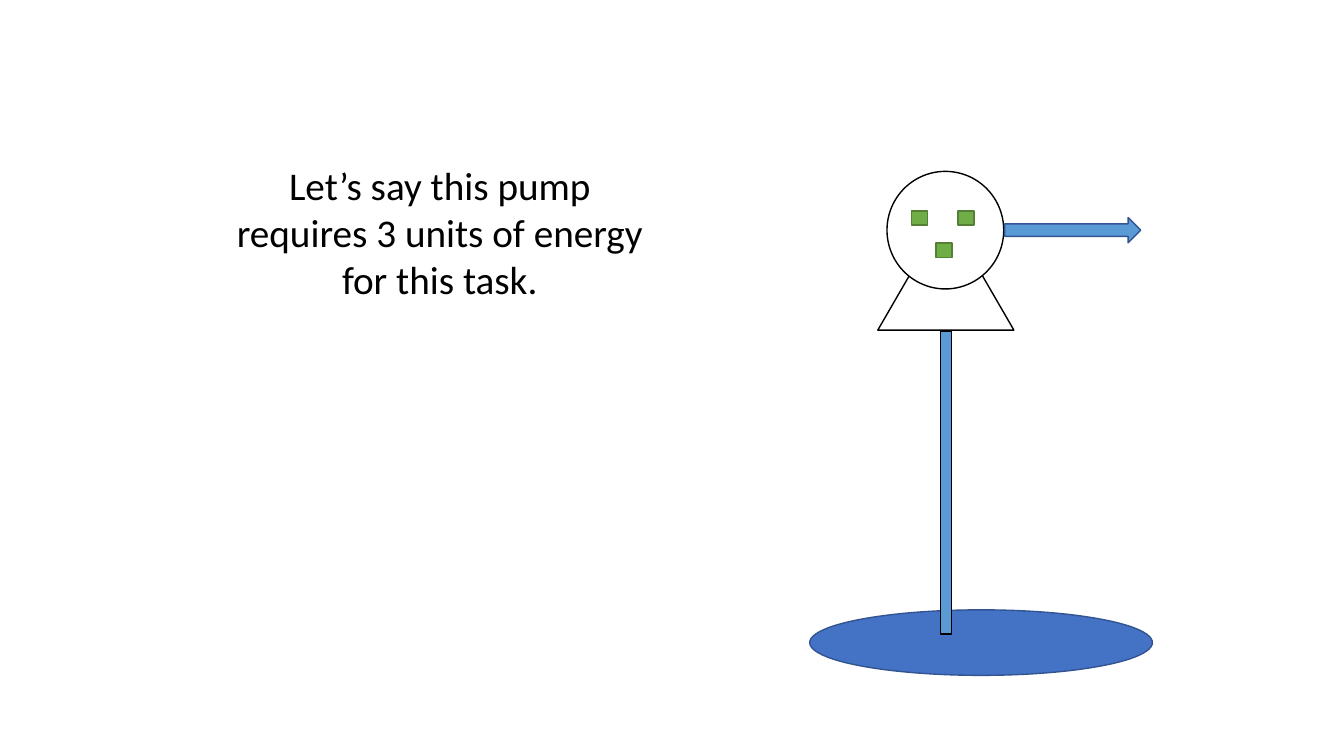
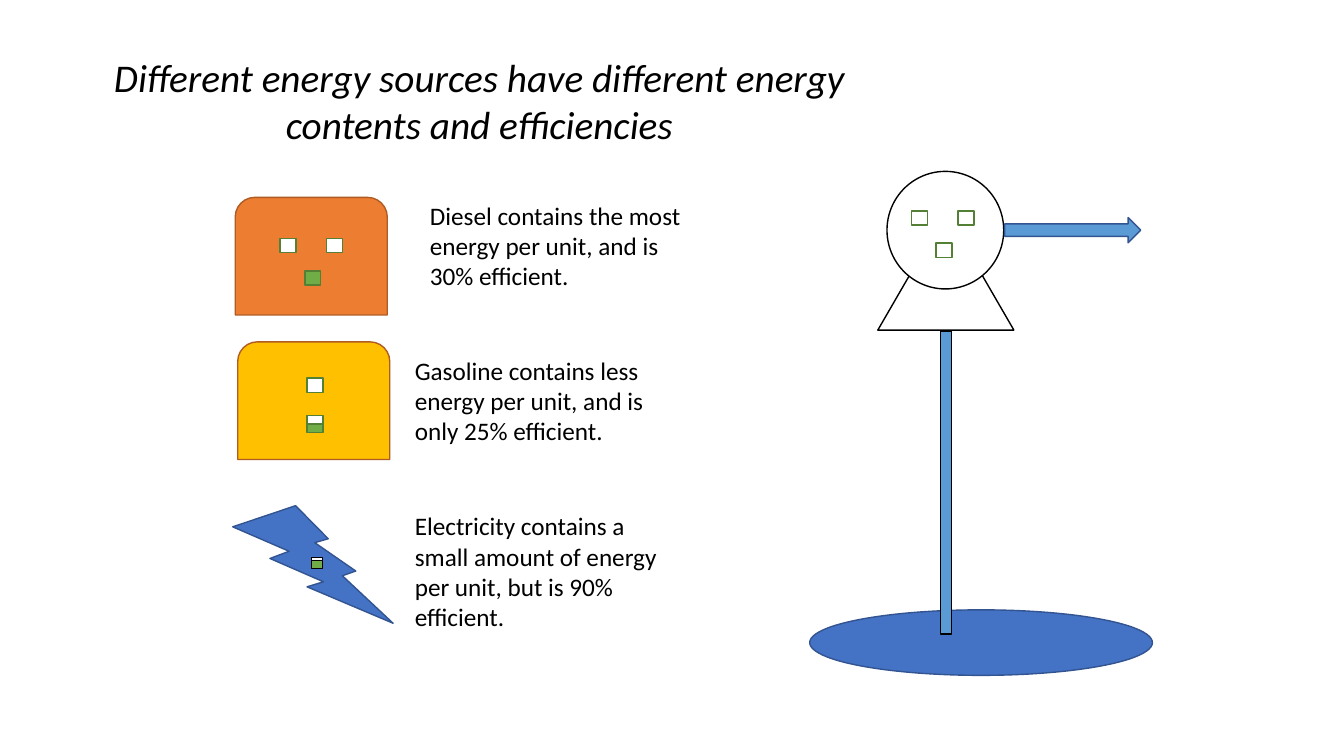
"""Build two slides on the energy a pump needs and the sources that supply it."""
from dataclasses import dataclass

from pptx import Presentation
from pptx.dml.color import RGBColor
from pptx.enum.shapes import MSO_SHAPE
from pptx.enum.text import MSO_AUTO_SIZE, PP_ALIGN
from pptx.util import Inches, Pt


@dataclass(frozen=True)
class Theme:
    font: str = "Calibri"
    title: int = 28
    label: int = 18
    line: int = 1
    black: str = "000000"
    white: str = "FFFFFF"
    water: str = "5B9BD5"
    blue: str = "4472C4"
    blue_edge: str = "325491"
    green: str = "70AD47"
    green_edge: str = "538035"
    orange: str = "ED7D31"
    yellow: str = "FFC000"
    fuel_edge: str = "AF5C24"


T = Theme()
COLS, ROWS = 160, 90

prs = Presentation()
prs.slide_width, prs.slide_height = Inches(13.333), Inches(7.5)
COL, ROW = prs.slide_width / COLS, prs.slide_height / ROWS


def add_shape(shapes, kind, x, y, w, h, fill, edge):
    sp = shapes.add_shape(kind, round(x * COL), round(y * ROW), round(w * COL), round(h * ROW))
    sp.shadow.inherit = False
    sp.fill.solid()
    sp.fill.fore_color.rgb = RGBColor.from_string(fill)
    sp.line.color.rgb = RGBColor.from_string(edge)
    sp.line.width = Pt(T.line)


def add_text(s, text, x, y, w, h, size=T.label, italic=None, align=PP_ALIGN.LEFT):
    tf = s.shapes.add_textbox(round(x * COL), round(y * ROW), round(w * COL), round(h * ROW)).text_frame
    tf.word_wrap = True
    tf.auto_size = MSO_AUTO_SIZE.SHAPE_TO_FIT_TEXT
    p = tf.paragraphs[0]
    p.alignment = align
    r = p.add_run()
    r.text = text
    r.font.name, r.font.size, r.font.italic = T.font, Pt(size), italic
    r.font.color.rgb = RGBColor.from_string(T.black)


RECT, OVAL = MSO_SHAPE.RECTANGLE, MSO_SHAPE.OVAL
TANK = MSO_SHAPE.ROUND_2_SAME_RECTANGLE
UNIT_W, UNIT_H = 1.9, 1.7
TRIO = [(0, 0), (5.55, 0), (2.95, 3.85)]

PUMP = [
    (OVAL, 96.4, 72.6, 40.8, 7.8, T.blue, T.blue_edge),
    (RECT, 112, 39.4, 1.3, 36.1, T.water, T.black),
    (MSO_SHAPE.ISOSCELES_TRIANGLE, 104.5, 25.3, 16.2, 14, T.white, T.black),
    (OVAL, 105.6, 20.4, 13.9, 14, T.white, T.black),
    (MSO_SHAPE.RIGHT_ARROW, 119.6, 25.9, 16.2, 3, T.water, T.blue_edge),
]

slides = []
for unit_fill in (T.green, T.white):
    s = prs.slides.add_slide(prs.slide_layouts[6])
    pump = s.shapes.add_group_shape().shapes
    for part in PUMP:
        add_shape(pump, *part)
    for dx, dy in TRIO:
        add_shape(pump, RECT, 108.5 + dx, 25.1 + dy, UNIT_W, UNIT_H, unit_fill, T.green_edge)
    slides.append(s)

need, sources = slides
add_text(need, "Let’s say this pump requires 3 units of energy for this task.",
         26.9, 18.6, 50.9, 18.1, size=T.title, align=PP_ALIGN.CENTER)
add_text(sources, "Different energy sources have different energy contents and efficiencies",
         6.6, 5.8, 100.9, 12.5, size=T.title, italic=True, align=PP_ALIGN.CENTER)

diesel = sources.shapes.add_group_shape().shapes
add_shape(diesel, TANK, 28, 23.5, 18.1, 14, T.orange, T.fuel_edge)
for (dx, dy), fill in zip(TRIO, (T.white, T.white, T.green)):
    add_shape(diesel, RECT, 33.35 + dx, 28.4 + dy, UNIT_W, UNIT_H, fill, T.green_edge)

gasoline = sources.shapes.add_group_shape().shapes
add_shape(gasoline, TANK, 28.3, 40.7, 18.1, 14, T.yellow, T.fuel_edge)
for y, h, fill in [(45, UNIT_H, T.white), (49.5, UNIT_H, T.white), (50.5, 1, T.green)]:
    add_shape(gasoline, RECT, 36.55, y, UNIT_W, h, fill, T.green_edge)

electricity = sources.shapes.add_group_shape().shapes
add_shape(electricity, MSO_SHAPE.LIGHTNING_BOLT, 27.7, 60.2, 19.1, 14, T.blue, T.blue_edge)
for y, h, fill in [(66.4, 1.1, T.white), (66.7, 1, T.green)]:
    add_shape(electricity, RECT, 37.1, y, 1.3, h, fill, T.black)

LABELS = [
    (50, 12.1, "Diesel contains the most energy per unit, and is 30% efficient."),
    (48.2, 12.1, "Gasoline contains less energy per unit, and is only 25% efficient."),
    (48.2, 15.7, "Electricity contains a small amount of energy per unit, but is 90% efficient."),
]
for i, (x, h, text) in enumerate(LABELS):
    add_text(sources, text, x, 23.2 + 18.5 * i, 32.3, h)

prs.save("out.pptx")
